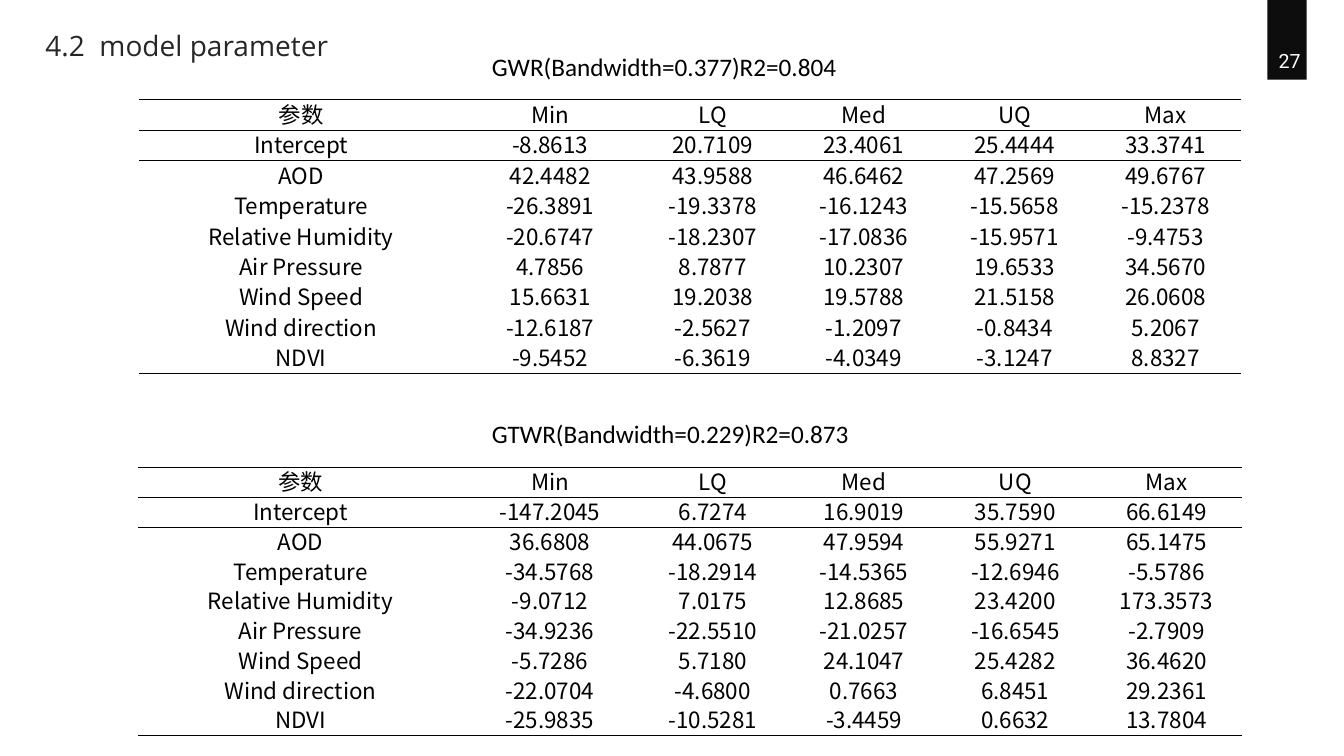
from lxml.etree import SubElement, Element
from pptx import Presentation
from pptx.dml.color import RGBColor
from pptx.enum.shapes import MSO_SHAPE as Shape
from pptx.enum.text import MSO_ANCHOR as Anchor, PP_ALIGN as Align
from pptx.oxml.ns import qn
from pptx.util import Inches, Pt

WIDTH, HEIGHT = 13.33, 7.5
NO_GRID_STYLE = "{2D5ABB26-0587-4C30-8999-92F81FD0307C}"
BLACK = "000000"
TITLE = {"size": Pt(20), "name": "Open Sans", "color": "262626"}
NUMBER = {"size": Pt(14), "name": "Roboto", "color": "FFFFFF"}
CAPTION = {"size": Pt(18), "name": "Calibri", "color": BLACK}
CELL = {"size": Pt(16), "name": "Noto Sans CJK SC", "color": BLACK}

HEADINGS = ["参数", "Min", "LQ", "Med", "UQ", "Max"]
PARAMETERS = ["Intercept", "AOD", "Temperature", "Relative Humidity",
              "Air Pressure", "Wind Speed", "Wind direction", "NDVI"]
COLUMN_WIDTHS = [3.22, 1.73, 1.5, 1.5, 1.5, 1.5]
GWR = """-8.8613 20.7109 23.4061 25.4444 33.3741
42.4482 43.9588 46.6462 47.2569 49.6767
-26.3891 -19.3378 -16.1243 -15.5658 -15.2378
-20.6747 -18.2307 -17.0836 -15.9571 -9.4753
4.7856 8.7877 10.2307 19.6533 34.5670
15.6631 19.2038 19.5788 21.5158 26.0608
-12.6187 -2.5627 -1.2097 -0.8434 5.2067
-9.5452 -6.3619 -4.0349 -3.1247 8.8327"""
GTWR = """-147.2045 6.7274 16.9019 35.7590 66.6149
36.6808 44.0675 47.9594 55.9271 65.1475
-34.5768 -18.2914 -14.5365 -12.6946 -5.5786
-9.0712 7.0175 12.8685 23.4200 173.3573
-34.9236 -22.5510 -21.0257 -16.6545 -2.7909
-5.7286 5.7180 24.1047 25.4282 36.4620
-22.0704 -4.6800 0.7663 6.8451 29.2361
-25.9835 -10.5281 -3.4459 0.6632 13.7804"""


def rgb(color):
    return RGBColor.from_string(color)


def write(frame, text, style, align=Align.LEFT):
    """Put one formatted line of text into a text frame."""
    para = frame.paragraphs[0]
    para.alignment = align
    span = para.add_run()
    span.text = text
    for key, value in style.items():
        if key == "color":
            span.font.color.rgb = rgb(value)
        else:
            setattr(span.font, key, value)
    # East Asian letters take the same typeface
    SubElement(span.font._element, qn("a:ea"), typeface=style["name"])
    return para


def add_text(page, box, text, style, align=Align.LEFT, anchor=Anchor.TOP):
    frame = page.shapes.add_textbox(*map(Inches, box)).text_frame
    frame.word_wrap = True
    frame.vertical_anchor = anchor
    write(frame, text, style, align)


def add_title(page, box, text):
    title = page.shapes.title
    title.left, title.top, title.width, title.height = map(Inches, box)
    title.text_frame.vertical_anchor = Anchor.TOP
    write(title.text_frame, text, TITLE)


def add_page_number(page, box, number):
    """Dark tab at the top edge with the number in its lower part."""
    left, top, width, height = box
    tab = page.shapes.add_shape(Shape.RECTANGLE, *map(Inches, box))
    tab.shadow.inherit = False
    tab.fill.solid()
    tab.fill.fore_color.rgb = rgb("0D0D0D")
    tab.line.fill.background()
    label = (left - 0.14, top + 0.43, 0.72, 0.34)
    add_text(page, label, number, NUMBER, Align.CENTER, Anchor.MIDDLE)


def add_rule(cell, side):
    """Draw a thin rule on the top (lnT) or bottom (lnB) of a cell."""
    line = Element(qn(f"a:{side}"), w=str(Pt(1)))
    fill = SubElement(line, qn("a:solidFill"))
    SubElement(fill, qn("a:srgbClr"), val=BLACK)
    cell._tc.get_or_add_tcPr().insert(0, line)


def fill_cell(cell, text):
    cell.fill.background()
    cell.vertical_anchor = Anchor.MIDDLE
    for side in ("left", "right", "top", "bottom"):
        setattr(cell, f"margin_{side}", Inches(0.01))
    write(cell.text_frame, text, CELL, Align.CENTER).line_spacing = 0.85


def add_parameter_table(page, box, values):
    """Three-line table: rules above and below the header and at the end."""
    rows = [HEADINGS] + [[name, *line.split()] for name, line
                         in zip(PARAMETERS, values.splitlines())]
    holder = page.shapes.add_table(len(rows), len(HEADINGS), *map(Inches, box))
    table = holder.table
    table.first_row = table.horz_banding = False
    table._tbl.tblPr.find(qn("a:tableStyleId")).text = NO_GRID_STYLE
    scale = box[2] / sum(COLUMN_WIDTHS)
    for column, width in zip(table.columns, COLUMN_WIDTHS):
        column.width = Inches(width * scale)
    last = len(rows) - 1
    for r, row in enumerate(rows):
        table.rows[r].height = Inches(box[3] / len(rows))
        for c, text in enumerate(row):
            cell = table.cell(r, c)
            fill_cell(cell, text)
            if r in (0, last):
                add_rule(cell, "lnB")
            if r in (0, 1):
                add_rule(cell, "lnT")


def add_model(page, box, caption, caption_top, values):
    """Caption with the parameter table under it."""
    add_parameter_table(page, box, values)
    add_text(page, (4.78, caption_top, 4.15, 0.4), caption, CAPTION)


def main():
    deck = Presentation()
    deck.slide_width, deck.slide_height = Inches(WIDTH), Inches(HEIGHT)
    page = deck.slides.add_slide(deck.slide_layouts[5])
    # Header
    add_page_number(page, (12.57, 0, 0.39, 0.79), "27")
    add_title(page, (0.35, 0.23, 4.98, 0.44), "4.2\u00a0 model parameter".replace("\u00a0", " "))
    # Models
    add_model(page, (1.38, 0.99, 10.93, 2.72),
              "GWR(Bandwidth=0.377)R2=0.804", 0.46, GWR)
    add_model(page, (1.37, 4.64, 10.95, 2.66),
              "GTWR(Bandwidth=0.229)R2=0.873", 4.1, GTWR)
    deck.save("out.pptx")


if __name__ == "__main__":
    main()
